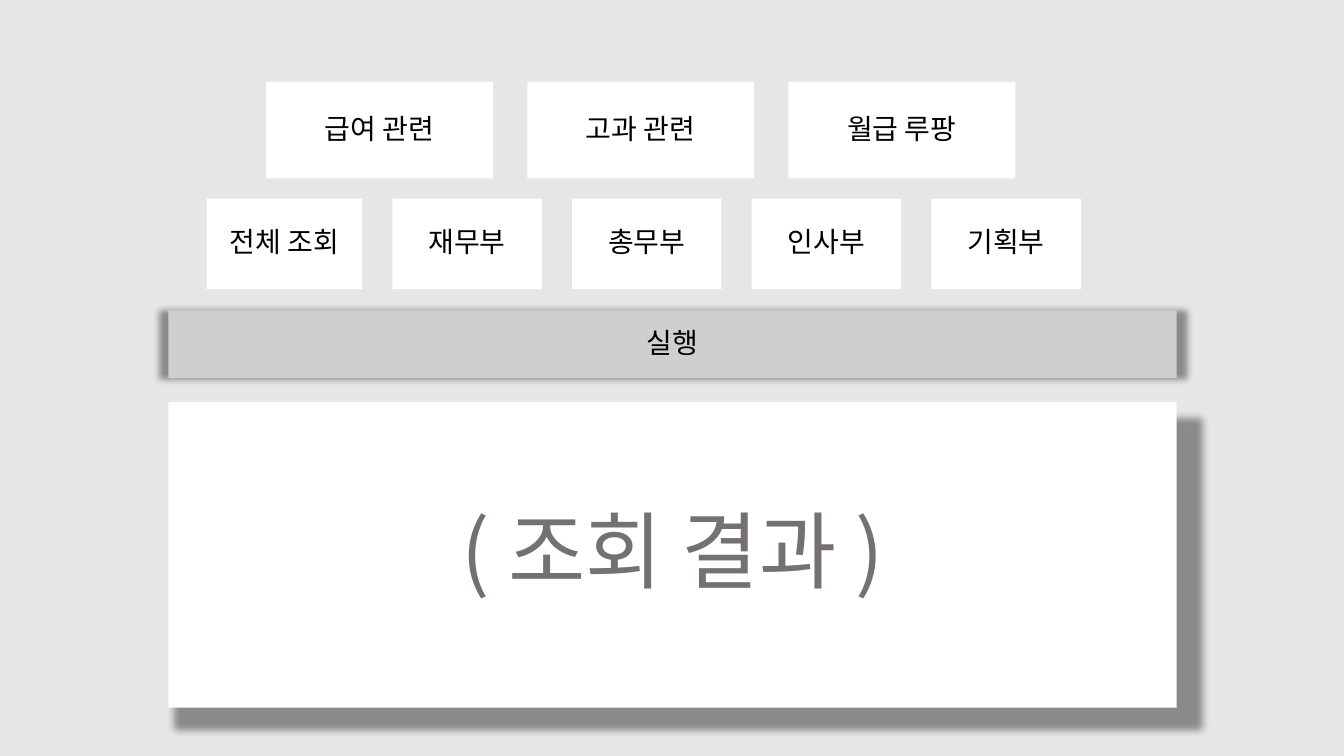
from lxml.etree import SubElement
from pptx import Presentation
from pptx.dml.color import RGBColor as RGB
from pptx.enum.shapes import MSO_SHAPE as SHAPE
from pptx.enum.text import MSO_ANCHOR as ANCHOR, MSO_AUTO_SIZE as AUTO, PP_ALIGN as ALIGN
from pptx.oxml.ns import qn
from pptx.util import Inches, Pt

FONT = "Noto Sans CJK KR"
BACK = RGB(0xE7, 0xE6, 0xE6)
WHITE = RGB(0xFF, 0xFF, 0xFF)
BLACK = RGB(0, 0, 0)
SILVER = RGB(0xD0, 0xCE, 0xCE)
GRAY = RGB(0x76, 0x71, 0x71)


def write(shape, text, size=20, color=BLACK):
    """Put one centred line of text in a shape."""
    frame = shape.text_frame
    frame.auto_size = AUTO.NONE
    frame.word_wrap = True
    frame.vertical_anchor = ANCHOR.MIDDLE
    para = frame.paragraphs[0]
    para.alignment = ALIGN.CENTER
    para.line_spacing = 0.9
    run = para.add_run()
    run.text = text
    font = run.font
    font.name, font.size, font.color.rgb = FONT, Pt(size), color
    SubElement(font._element, qn("a:ea"), typeface=FONT)


def paint(shape, color):
    """Fill a shape flat, with no line."""
    shape.fill.solid()
    shape.fill.fore_color.rgb = color
    shape.line.fill.background()


def shade(shape, align, dist=0, angle=0):
    """Cast a soft shadow, 2 % larger than the shape."""
    props = shape._element.spPr
    for old in props.findall(qn("a:effectLst")):
        props.remove(old)
    cast = SubElement(SubElement(props, qn("a:effectLst")), qn("a:outerShdw"),
                      blurRad=str(Pt(5)), dist=str(Pt(dist)),
                      dir=str(angle * 60000), sx="102000", sy="102000",
                      algn=align, rotWithShape="0")
    tint = SubElement(cast, qn("a:srgbClr"), val="000000")
    SubElement(tint, qn("a:alpha"), val="40000")


def button(shapes, text, box, color=WHITE):
    """Draw a labelled rectangle in a box given in inches."""
    shape = shapes.add_shape(SHAPE.RECTANGLE, *map(Inches, box))
    shape.shadow.inherit = False
    paint(shape, color)
    write(shape, text)
    return shape


def row(slide, labels, box, gap, extra=0):
    """Group equal buttons across a box; the first is wider by extra."""
    left, top, width, height = box
    count = len(labels)
    each = (width - extra - gap * (count - 1)) / count
    group = slide.shapes.add_group_shape()
    for i, label in enumerate(labels):
        wide = each + (0 if i else extra)
        button(group.shapes, label, (left, top, wide, height))
        left += wide + gap


def result(slide, box):
    """Turn the title into the result panel."""
    title = slide.shapes.title
    title.left, title.top, title.width, title.height = map(Inches, box)
    paint(title, WHITE)
    shade(title, "tl", dist=6, angle=70)
    write(title, "( 조회 결과 )", size=60, color=GRAY)


def build():
    """Make the query screen and save it."""
    deck = Presentation()
    deck.slide_width, deck.slide_height = Inches(13.33), Inches(7.5)
    slide = deck.slides.add_slide(deck.slide_layouts[0])
    sub = slide.placeholders[1]._element
    sub.getparent().remove(sub)
    slide.background.fill.solid()
    slide.background.fill.fore_color.rgb = BACK

    result(slide, (1.67, 3.99, 10, 3.03))
    row(slide, ["급여 관련", "고과 관련", "월급 루팡"], (2.64, 0.81, 7.43, 0.96), 0.34)
    row(slide, ["전체 조회", "재무부", "총무부", "인사부", "기획부"],
        (2.05, 1.97, 8.67, 0.9), 0.3, extra=0.06)
    run_bar = button(slide.shapes, "실행", (1.67, 3.08, 10, 0.67), SILVER)
    shade(run_bar, "ctr")
    deck.save("out.pptx")


build()
